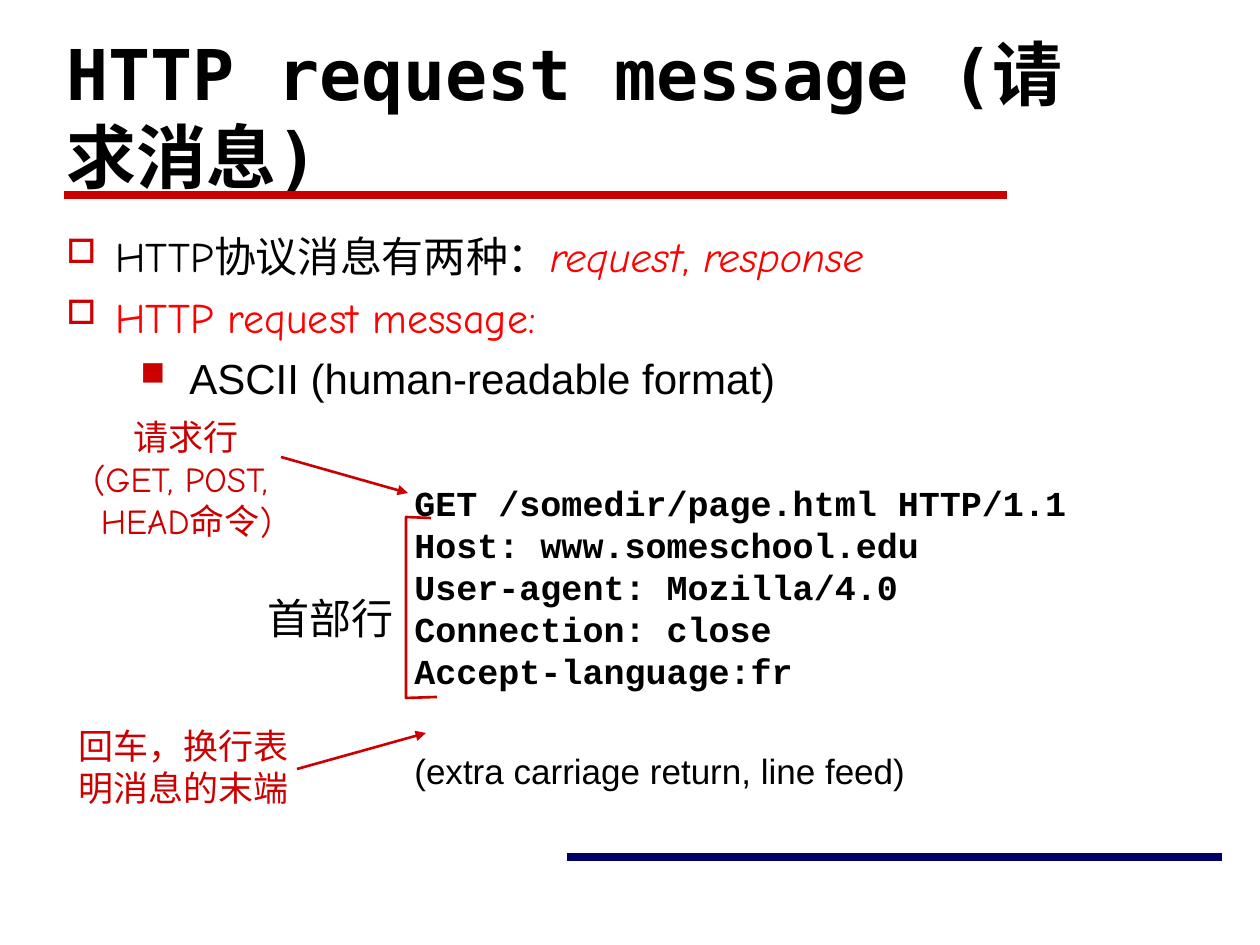
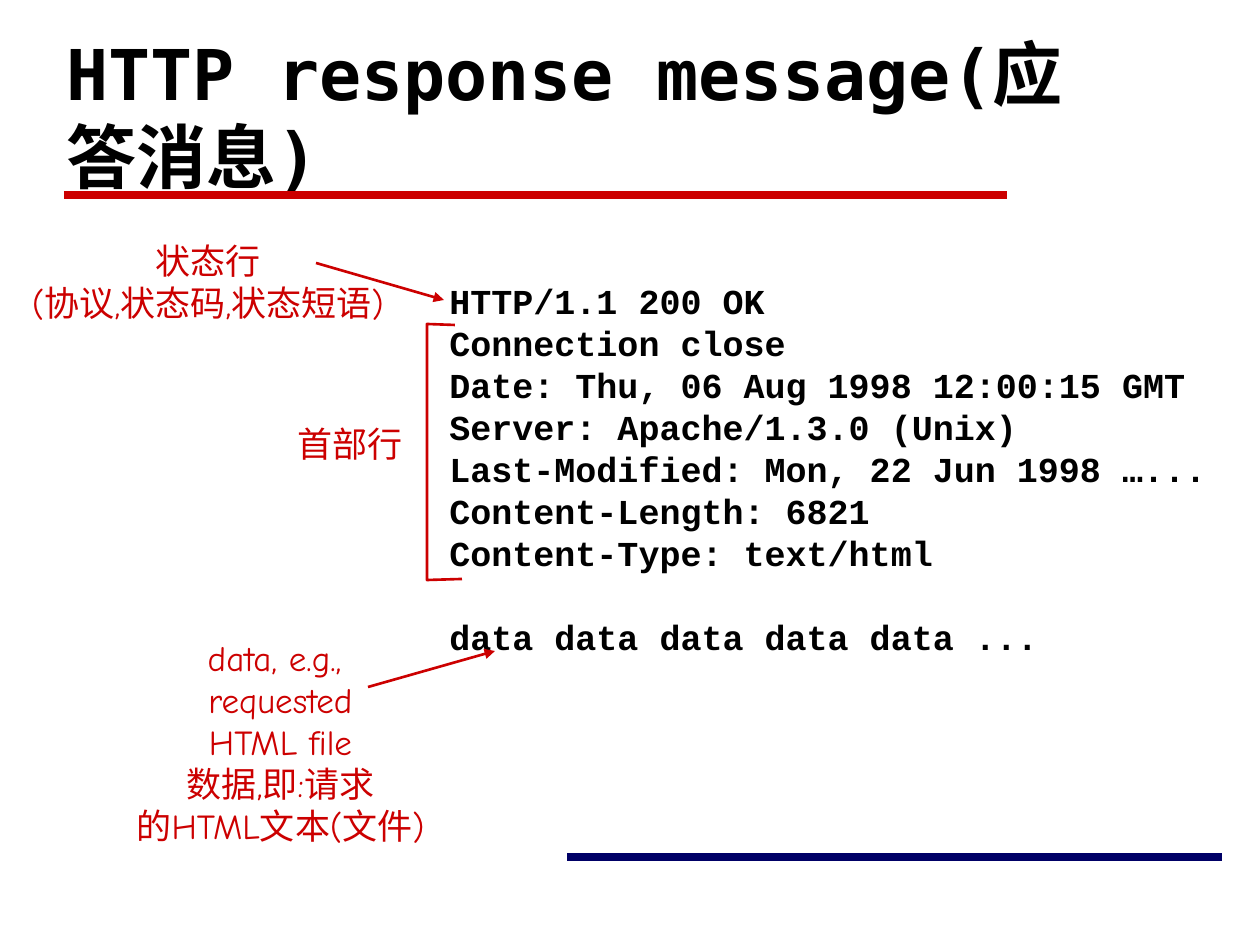
from lxml import etree
from pptx import Presentation
from pptx.dml.color import RGBColor
from pptx.enum.shapes import MSO_CONNECTOR as Connector
from pptx.enum.text import MSO_ANCHOR as Anchor
from pptx.enum.text import MSO_AUTO_SIZE as AutoSize
from pptx.enum.text import PP_ALIGN as Align
from pptx.oxml.ns import qn
from pptx.util import Emu, Pt

PX = 914400 / 126
BLACK = RGBColor(0x00, 0x00, 0x00)
CRIMSON = RGBColor(0xCC, 0x00, 0x00)
RED = RGBColor(0xFF, 0x00, 0x00)
NAVY = RGBColor(0x00, 0x00, 0x66)
TITLE_ONLY = 5

TITLE = dict(name="DejaVu Sans Mono", size=Pt(40), bold=True, color=BLACK)
CODE = dict(name="Courier New", size=Pt(20), bold=True, color=BLACK)
PLAIN = dict(name="Arial", size=Pt(20), bold=False, color=BLACK)
NOTE = dict(name="Comic Neue", size=Pt(20), color=CRIMSON)
HEADER_LABEL = dict(name="Times New Roman", size=Pt(24), color=BLACK)
POINT = dict(name="Comic Neue", size=Pt(24), color=BLACK)
RED_POINT = POINT | dict(color=RED)
STRESSED = RED_POINT | dict(italic=True)
SUBPOINT = POINT | dict(name="Arial")


def px(value):
    return Emu(round(value * PX))


def add_element(parent, tag, **attributes):
    element = etree.SubElement(parent, qn(tag))
    for key, value in attributes.items():
        element.set(key, str(value))
    return element


class Slides:
    def __init__(self):
        self.deck = Presentation()
        self.deck.slide_width = px(1260)
        self.deck.slide_height = px(945)
        self.page = None

    def new_page(self, title):
        layout = self.deck.slide_layouts[TITLE_ONLY]
        self.page = self.deck.slides.add_slide(layout)
        self.line((64, 195), (1007, 195), CRIMSON, 4.5)
        self.line((567, 857), (1222, 857), NAVY, 4.5)
        box = self.page.shapes.title
        box.left, box.top, box.width, box.height = map(px, (54, 55, 1037, 118))
        frame = box.text_frame
        frame.auto_size = AutoSize.NONE
        frame.word_wrap = True
        frame.vertical_anchor = Anchor.MIDDLE
        frame.paragraphs[0].alignment = Align.LEFT
        self.span(frame.paragraphs[0], title, TITLE)

    def span(self, para, text, style):
        run = para.add_run()
        run.text = text
        for key, value in style.items():
            if key == "color":
                run.font.color.rgb = value
            else:
                setattr(run.font, key, value)

    def frame(self, area, wrap, auto_size=AutoSize.SHAPE_TO_FIT_TEXT):
        frame = self.page.shapes.add_textbox(*map(px, area)).text_frame
        frame.word_wrap = wrap
        frame.auto_size = auto_size
        return frame

    def next_para(self, frame, index):
        return frame.add_paragraph() if index else frame.paragraphs[0]

    def text(self, area, lines, style, align=Align.LEFT, wrap=False):
        """Add a text box with one paragraph per line and return its frame."""
        frame = self.frame(area, wrap)
        for index, line in enumerate(lines):
            para = self.next_para(frame, index)
            para.alignment = align
            self.span(para, line, style)
        return frame

    def closing_line(self, frame, text, style, gap):
        para = frame.add_paragraph()
        para.space_before = Pt(gap)
        self.span(para, text, style)

    def bullets(self, area, points):
        """Add points, each a level followed by its (text, style) spans."""
        frame = self.frame(area, True, AutoSize.NONE)
        for index, (level, *spans) in enumerate(points):
            para = self.next_para(frame, index)
            if index:
                para.space_before = Pt(6)
            props = para._p.get_or_add_pPr()
            props.set("marL", str(px(49 + 74 * level)))
            props.set("indent", str(px(-49)))
            color = add_element(props, "a:buClr")
            add_element(color, "a:srgbClr", val=CRIMSON)
            add_element(props, "a:buSzPct", val=80000)
            add_element(props, "a:buChar", char="□■"[level])
            for text, style in spans:
                self.span(para, text, style)

    def line(self, start, end, color=CRIMSON, width=1.5):
        line = self.page.shapes.add_connector(
            Connector.STRAIGHT, *map(px, start + end))
        line.line.color.rgb = color
        line.line.width = Pt(width)
        add_element(line._element.spPr, "a:effectLst")
        return line

    def arrow(self, start, end):
        outline = self.line(start, end).line._get_or_add_ln()
        add_element(outline, "a:tailEnd", type="triangle")

    def bracket(self, *points):
        (left, top), *rest = [tuple(map(px, point)) for point in points]
        builder = self.page.shapes.build_freeform(left, top)
        builder.add_line_segments(rest, close=False)
        shape = builder.convert_to_shape()
        shape.shadow.inherit = False
        shape.fill.background()
        shape.line.color.rgb = CRIMSON
        shape.line.width = Pt(1.5)


def request_page(slides):
    slides.new_page("HTTP request message (请求消息)")
    slides.bullets((54, 224, 1152, 605), [
        (0, ("HTTP协议消息有两种：", POINT), ("request", STRESSED),
         (", ", RED_POINT), ("response", STRESSED)),
        (0, ("HTTP request message:", RED_POINT)),
        (1, ("ASCII (human-readable format)", SUBPOINT)),
    ])
    message = slides.text((402, 475, 678, 324), [
        "GET /somedir/page.html HTTP/1.1",
        "Host: www.someschool.edu",
        "User-agent: Mozilla/4.0",
        "Connection: close",
        "Accept-language:fr",
    ], CODE)
    slides.closing_line(message, "(extra carriage return, line feed)", PLAIN, 33)
    slides.text((78, 409, 217, 139), ["请求行", "(GET, POST, ", "HEAD命令)"],
                NOTE, Align.CENTER)
    slides.arrow((281, 457), (408, 493))
    slides.bracket((431, 518), (406, 517), (406, 698), (437, 697))
    slides.text((255, 586, 151, 63), ["首部行"], HEADER_LABEL, Align.RIGHT)
    slides.arrow((297, 769), (426, 733))
    slides.text((62, 718, 243, 97), ["回车，换行表明消息的末端"],
                NOTE, Align.CENTER, wrap=True)


def response_page(slides):
    slides.new_page("HTTP response message(应答消息)")
    message = slides.text((437, 273, 804, 391), [
        "HTTP/1.1 200 OK",
        "Connection close",
        "Date: Thu, 06 Aug 1998 12:00:15 GMT",
        "Server: Apache/1.3.0 (Unix)",
        "Last-Modified: Mon, 22 Jun 1998 …...",
        "Content-Length: 6821",
        "Content-Type: text/html",
    ], CODE)
    slides.closing_line(message, "data data data data data ...", CODE, 24)
    slides.text((14, 233, 388, 139), ["状态行", "(协议,状态码,状态短语)"],
                NOTE, Align.CENTER, wrap=True)
    slides.arrow((316, 263), (444, 300))
    slides.bracket((455, 325), (427, 324), (427, 580), (462, 579))
    slides.text((285, 416, 130, 55), ["首部行"], NOTE, Align.RIGHT)
    slides.arrow((368, 687), (495, 651))
    slides.text((102, 630, 357, 223), [
        "data, e.g., ", "requested", "HTML file",
        "数据,即:请求", "的HTML文本(文件)",
    ], NOTE, Align.CENTER)


def main():
    slides = Slides()
    request_page(slides)
    response_page(slides)
    slides.deck.save("out.pptx")


if __name__ == "__main__":
    main()
